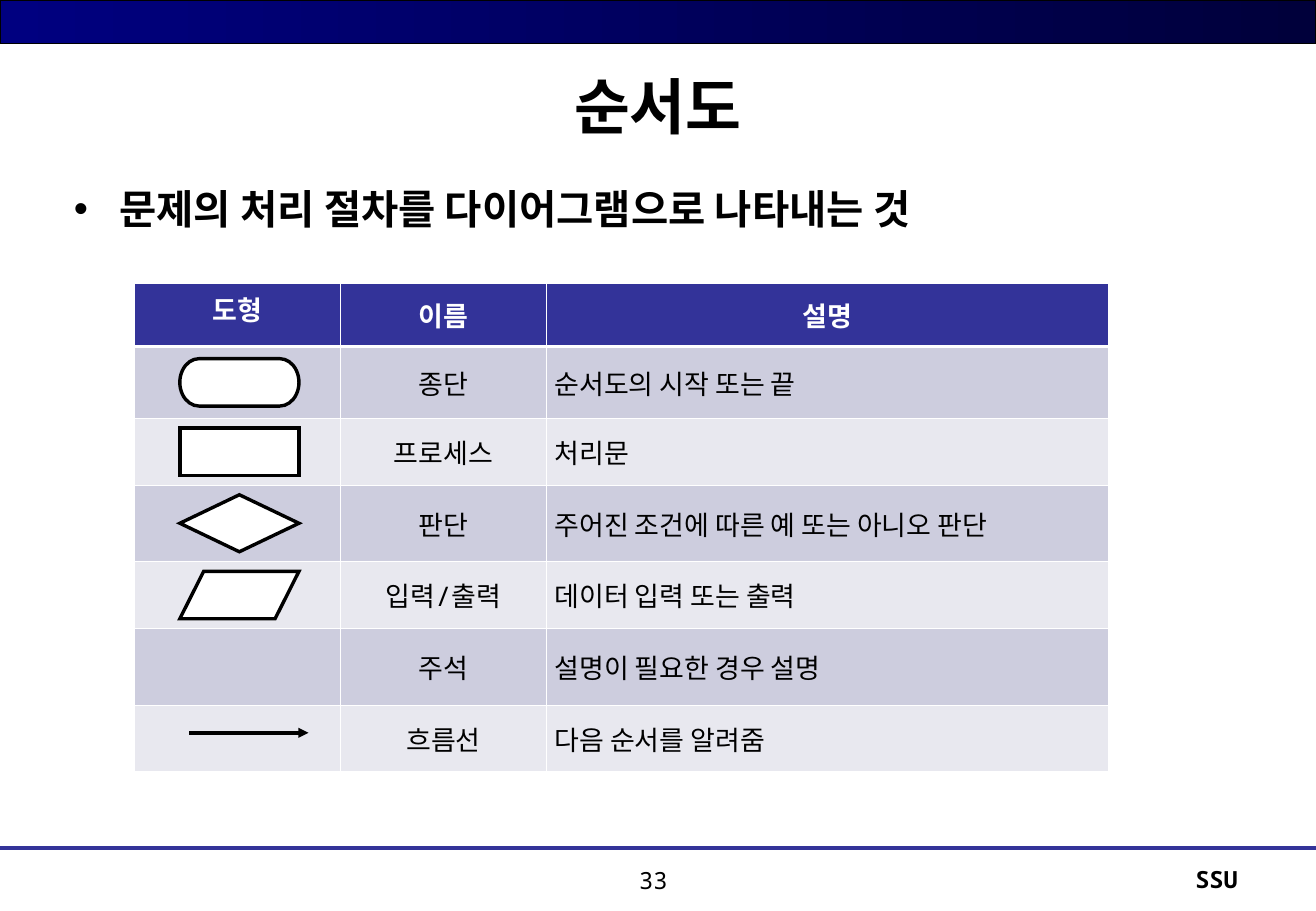
"""Build the flowchart symbols slide."""
from itertools import accumulate

from lxml.etree import SubElement
from pptx import Presentation
from pptx.dml.color import RGBColor
from pptx.enum.shapes import MSO_CONNECTOR, MSO_SHAPE
from pptx.enum.text import MSO_ANCHOR, PP_ALIGN
from pptx.oxml.ns import qn
from pptx.util import Pt

TITLE = "순서도"
DEFINITION = "문제의 처리 절차를 다이어그램으로 나타내는 것"
FOOTER = "SSU"
PAGE_NUMBER = "33"
HEADINGS = ("도형", "이름", "설명")
ROWS = [
    ("종단", "순서도의 시작 또는 끝"),
    ("프로세스", "처리문"),
    ("판단", "주어진 조건에 따른 예 또는 아니오 판단"),
    ("입력/출력", "데이터 입력 또는 출력"),
    ("주석", "설명이 필요한 경우 설명"),
    ("흐름선", "다음 순서를 알려줌"),
]
KOREAN_FONT_TEXTS = ("설명이 필요한 경우 설명", "흐름선", "다음 순서를 알려줌")
SYMBOLS = [
    (MSO_SHAPE.FLOWCHART_TERMINATOR, 28.1),
    (MSO_SHAPE.FLOWCHART_PROCESS, 28.1),
    (MSO_SHAPE.FLOWCHART_DECISION, 33.8),
    (MSO_SHAPE.FLOWCHART_DATA, 28.1),
]
THEME = {
    "font": "Noto Sans Mono", "korean": "Noto Sans CJK KR",
    "ink": "000000", "paper": "FFFFFF", "accent": "333399",
    "bar": ("000080", "00003B"), "bands": ("CDCDDE", "E8E8EF"),
    "title": 36, "body": 24, "cell": 16, "footer": 14,
}
SLIDE_WIDTH, SLIDE_HEIGHT = 780.13, 540
BAR_WIDTH = 780
TABLE_LEFT, TABLE_TOP = 79.9, 168
COLUMN_WIDTHS = (122, 122, 333)
ROW_HEIGHTS = (37.4, 42.5, 39.6, 45.4, 39.6, 45.4, 39.6)
SYMBOL_LEFT, SYMBOL_WIDTH = 106.6, 70.6


def rgb(name):
    return RGBColor.from_string(THEME.get(name, name))


def style(paragraph, size, color="ink", bold=False, align=PP_ALIGN.LEFT):
    paragraph.alignment = align
    for run in paragraph.runs:
        run.font.size = Pt(THEME[size])
        run.font.bold = bold
        run.font.color.rgb = rgb(color)
        run.font.name = THEME["korean" if run.text in KOREAN_FONT_TEXTS else "font"]


def add_text(slide, box, text, size, align, bold=True, anchor=MSO_ANCHOR.TOP):
    frame = slide.shapes.add_textbox(*map(Pt, box)).text_frame
    frame.word_wrap = True
    frame.vertical_anchor = anchor
    frame.text = text
    style(frame.paragraphs[0], size, bold=bold, align=align)
    return frame.paragraphs[0]


def add_bullet(paragraph, indent):
    properties = paragraph._p.get_or_add_pPr()
    properties.set("marL", str(Pt(indent)))
    properties.set("indent", str(-Pt(indent)))
    SubElement(properties, qn("a:buFont"), typeface="Arial")
    SubElement(properties, qn("a:buChar"), char="•")


def outline(shape, color, width):
    shape.line.color.rgb = rgb(color)
    shape.line.width = Pt(width)
    SubElement(shape.line._get_or_add_ln(), qn("a:miter"), lim="800000")


def add_line(slide, start, end, color, width):
    line = slide.shapes.add_connector(MSO_CONNECTOR.STRAIGHT, *map(Pt, start + end))
    outline(line, color, width)
    SubElement(line._element.spPr, qn("a:effectLst"))
    return line


def add_borders(cell, row):
    properties = cell._tc.get_or_add_tcPr()
    heavy = {"lnB": row == 0, "lnT": row == 1}
    for side in ("lnL", "lnR", "lnT", "lnB"):
        width = Pt(1.47 if heavy.get(side) else 0.45)
        border = SubElement(properties, qn(f"a:{side}"), w=str(width))
        fill = SubElement(border, qn("a:solidFill"))
        SubElement(fill, qn("a:srgbClr"), val=THEME["paper"])


def add_symbol_table(slide):
    content = [HEADINGS] + [("", *row) for row in ROWS]
    table = slide.shapes.add_table(
        len(content), len(HEADINGS), Pt(TABLE_LEFT), Pt(TABLE_TOP),
        Pt(sum(COLUMN_WIDTHS)), Pt(sum(ROW_HEIGHTS))).table
    for column, width in zip(table.columns, COLUMN_WIDTHS):
        column.width = Pt(width)
    for r, (texts, height) in enumerate(zip(content, ROW_HEIGHTS)):
        table.rows[r].height = Pt(height)
        for c, text in enumerate(texts):
            cell = table.cell(r, c)
            add_borders(cell, r)
            cell.fill.solid()
            cell.fill.fore_color.rgb = rgb(THEME["bands"][(r - 1) % 2] if r else "accent")
            if c:
                cell.vertical_anchor = MSO_ANCHOR.MIDDLE
                cell.margin_left = cell.margin_right = Pt(5)
            cell.text = text
            align = PP_ALIGN.JUSTIFY if r and c == 2 else PP_ALIGN.CENTER
            style(cell.text_frame.paragraphs[0], "cell", "ink" if r else "paper", r == 0, align)


def add_symbols(slide):
    tops = accumulate(ROW_HEIGHTS, initial=TABLE_TOP)
    middles = [top + height / 2 for top, height in zip(tops, ROW_HEIGHTS)][1:]
    for (kind, height), middle in zip(SYMBOLS, middles):
        box = (SYMBOL_LEFT, middle - height / 2, SYMBOL_WIDTH, height)
        symbol = slide.shapes.add_shape(kind, *map(Pt, box))
        symbol.shadow.inherit = False
        symbol.fill.solid()
        symbol.fill.fore_color.rgb = rgb("paper")
        outline(symbol, "ink", 2)
    flow_left, flow_y = SYMBOL_LEFT + 5.7, middles[-1] - 3.3
    flow = add_line(slide, (flow_left, flow_y), (flow_left + SYMBOL_WIDTH, flow_y), "ink", 2)
    SubElement(flow.line._get_or_add_ln(), qn("a:tailEnd"), type="triangle")


def add_bar(slide):
    bar = slide.shapes.add_shape(MSO_SHAPE.RECTANGLE, 0, 0, Pt(BAR_WIDTH), Pt(26))
    bar.shadow.inherit = False
    bar.fill.gradient()
    bar.fill.gradient_angle = 0
    for stop, color in zip(bar.fill.gradient_stops, THEME["bar"]):
        stop.color.rgb = rgb(color)
    outline(bar, "ink", 0.75)


def main():
    deck = Presentation()
    deck.slide_width, deck.slide_height = Pt(SLIDE_WIDTH), Pt(SLIDE_HEIGHT)
    slide = deck.slides.add_slide(deck.slide_layouts[6])
    add_bar(slide)
    add_line(slide, (0, 502.6), (BAR_WIDTH, 502.6), "accent", 2.5)
    add_text(slide, (39, 26, 702, 73), TITLE, "title", PP_ALIGN.CENTER, anchor=MSO_ANCHOR.MIDDLE)
    definition = add_text(slide, (36.7, 105.8, 704, 391), DEFINITION, "body", PP_ALIGN.LEFT)
    add_bullet(definition, 27)
    add_text(slide, (554.4, 509, 186.5, 26.6), FOOTER, "footer", PP_ALIGN.RIGHT)
    add_text(slide, (334.8, 509.8, 105, 26.6), PAGE_NUMBER, "footer", PP_ALIGN.CENTER, bold=False)
    add_symbol_table(slide)
    add_symbols(slide)
    deck.save("out.pptx")


if __name__ == "__main__":
    main()
